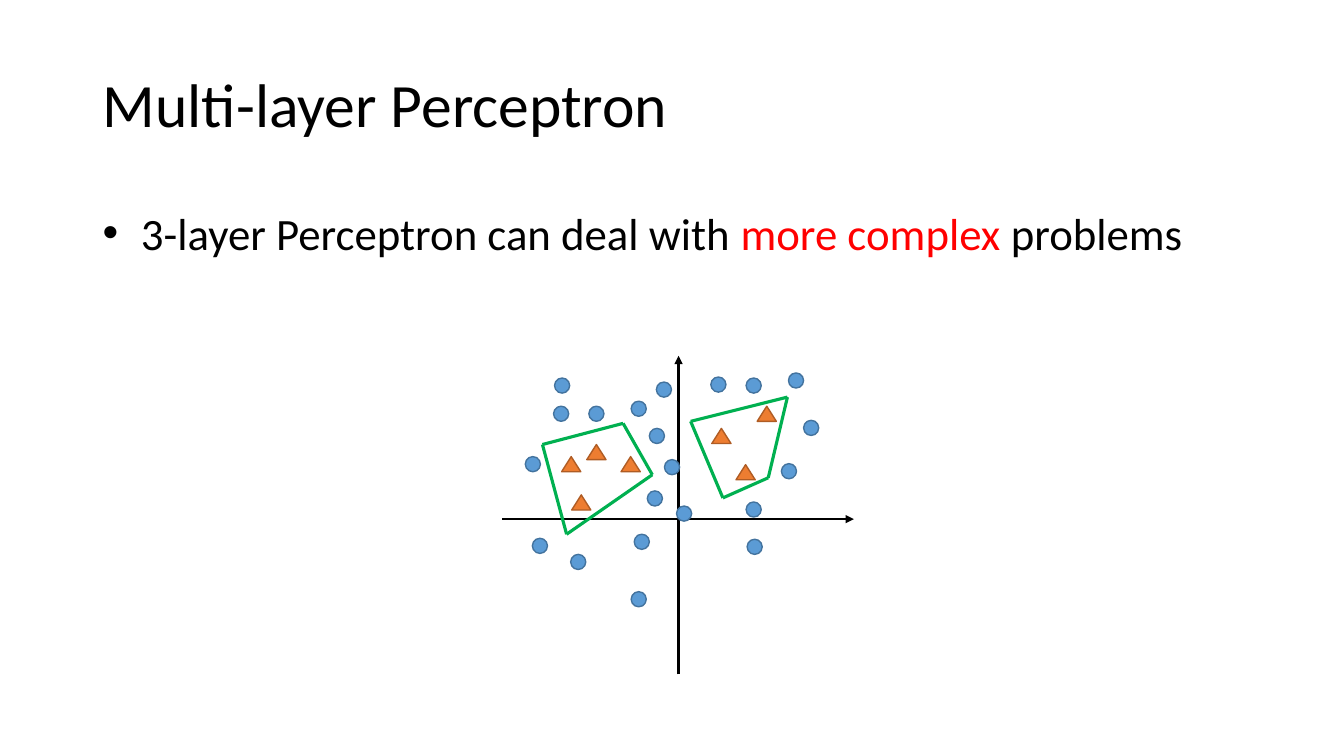
"""Build the multi-layer perceptron slide with its two enclosed point regions."""
from typing import NamedTuple

import lxml.etree
import pptx
import pptx.dml.color
import pptx.enum.shapes
import pptx.enum.text
import pptx.oxml.ns
import pptx.util

Inches = pptx.util.Inches
Point = tuple[float, float]
SHAPES = pptx.enum.shapes.MSO_SHAPE
ANCHORS = pptx.enum.text.MSO_ANCHOR
BLACK, RED, GREEN = "000000", "FF0000", "00B050"


class MarkerStyle(NamedTuple):
    preset: SHAPES
    width: float
    height: float
    fill: str
    outline: str


class Span(NamedTuple):
    text: str
    color: str


CIRCLE = MarkerStyle(SHAPES.OVAL, 0.15, 0.15, "5B9BD5", "43739E")
TRIANGLE = MarkerStyle(SHAPES.ISOSCELES_TRIANGLE, 0.19, 0.15, "ED7D31", "AF5C24")

MARKERS: list[tuple[MarkerStyle, list[Point]]] = [
    (CIRCLE, [
        (6.59, 4.56), (6.44, 4.25), (6.26, 5.87), (5.49, 4.03), (5.84, 4.03),
        (6.42, 4.87), (6.71, 5.02), (5.5, 3.75), (6.26, 3.98), (7.05, 3.74),
        (7.4, 3.75), (6.51, 3.79), (7.82, 3.7), (7.41, 5.35), (7.75, 4.6),
        (7.4, 4.98), (7.97, 4.17), (5.28, 5.34), (5.66, 5.5), (5.21, 4.53),
        (6.29, 5.3),
    ]),
    (TRIANGLE, [
        (5.67, 4.91), (5.82, 4.41), (7.06, 4.25), (5.57, 4.53), (6.16, 4.53),
        (7.3, 4.61), (7.51, 4.03),
    ]),
]

AXES: list[tuple[Point, Point]] = [
    ((4.98, 5.15), (8.47, 5.15)),
    ((6.73, 6.69), (6.73, 3.53)),
]

REGIONS: list[list[Point]] = [
    [(5.62, 5.3), (5.38, 4.41), (6.18, 4.2), (6.47, 4.71)],
    [(7.17, 4.94), (6.85, 4.18), (7.81, 3.94), (7.62, 4.74)],
]


def rgb(color: str) -> pptx.dml.color.RGBColor:
    """Turn a hex string into a colour."""
    return pptx.dml.color.RGBColor.from_string(color)


def add_element(parent, tag: str, **attributes: str) -> None:
    """Append a drawing element to its parent."""
    lxml.etree.SubElement(parent, pptx.oxml.ns.qn(tag), attributes)


def add_line(page, start: Point, end: Point, color: str, width: float,
             arrow: bool = False) -> None:
    """Draw a straight line, with an arrowhead at its end if wanted."""
    line = page.shapes.add_connector(
        pptx.enum.shapes.MSO_CONNECTOR.STRAIGHT,
        *(Inches(value) for value in (*start, *end)))
    line.line.color.rgb = rgb(color)
    line.line.width = pptx.util.Pt(width)
    properties = line._element.spPr
    if arrow:
        add_element(properties.find(pptx.oxml.ns.qn("a:ln")), "a:tailEnd", type="triangle")
    add_element(properties, "a:effectLst")


def add_marker(page, style: MarkerStyle, corner: Point) -> None:
    """Draw one data point."""
    marker = page.shapes.add_shape(
        style.preset,
        *(Inches(value) for value in (*corner, style.width, style.height)))
    marker.shadow.inherit = False
    marker.fill.solid()
    marker.fill.fore_color.rgb = rgb(style.fill)
    marker.line.color.rgb = rgb(style.outline)
    marker.line.width = pptx.util.Pt(1)


def write_text(box, spans: list[Span], size: float, anchor: ANCHORS,
               bullet: bool = False) -> None:
    """Fill a box with one left-aligned paragraph."""
    frame = box.text_frame
    frame_format = {
        "word_wrap": True,
        "auto_size": pptx.enum.text.MSO_AUTO_SIZE.NONE,
        "vertical_anchor": anchor,
    }
    for name, value in frame_format.items():
        setattr(frame, name, value)
    para = frame.paragraphs[0]
    para.alignment = pptx.enum.text.PP_ALIGN.LEFT
    if bullet:
        properties = para._p.get_or_add_pPr()
        indent = Inches(0.38)
        properties.set("marL", str(indent))
        properties.set("indent", str(-indent))
        add_element(properties, "a:buFont", typeface="Arial")
        add_element(properties, "a:buChar", char="•")
    for span in spans:
        run = para.add_run()
        run.text = span.text
        font_format = {"name": "Calibri", "size": pptx.util.Pt(size)}
        for name, value in font_format.items():
            setattr(run.font, name, value)
        run.font.color.rgb = rgb(span.color)


def main() -> None:
    """Build and save the deck."""
    deck = pptx.Presentation()
    deck.slide_width, deck.slide_height = Inches(13.33), Inches(7.5)
    page = deck.slides.add_slide(deck.slide_layouts.get_by_name("Title Only"))

    title = page.shapes.title
    title_place = {"left": 0.92, "top": 0.3, "width": 11.5, "height": 1.45}
    for name, value in title_place.items():
        setattr(title, name, Inches(value))
    write_text(title, [Span("Multi-layer Perceptron", BLACK)], 44, ANCHORS.MIDDLE)

    body = page.shapes.add_textbox(
        Inches(0.92), Inches(1.99), Inches(11.5), Inches(4.76))
    statement = [
        Span("3-layer Perceptron can deal with ", BLACK),
        Span("more complex", RED),
        Span(" problems", BLACK),
    ]
    write_text(body, statement, 32, ANCHORS.TOP, bullet=True)

    for start, end in AXES:
        add_line(page, start, end, BLACK, 1.5, arrow=True)
    for style, corners in MARKERS:
        for corner in corners:
            add_marker(page, style, corner)
    for region in REGIONS:
        for start, end in zip(region, region[1:] + region[:1]):
            add_line(page, start, end, GREEN, 2.25)

    deck.save("out.pptx")


if __name__ == "__main__":
    main()
